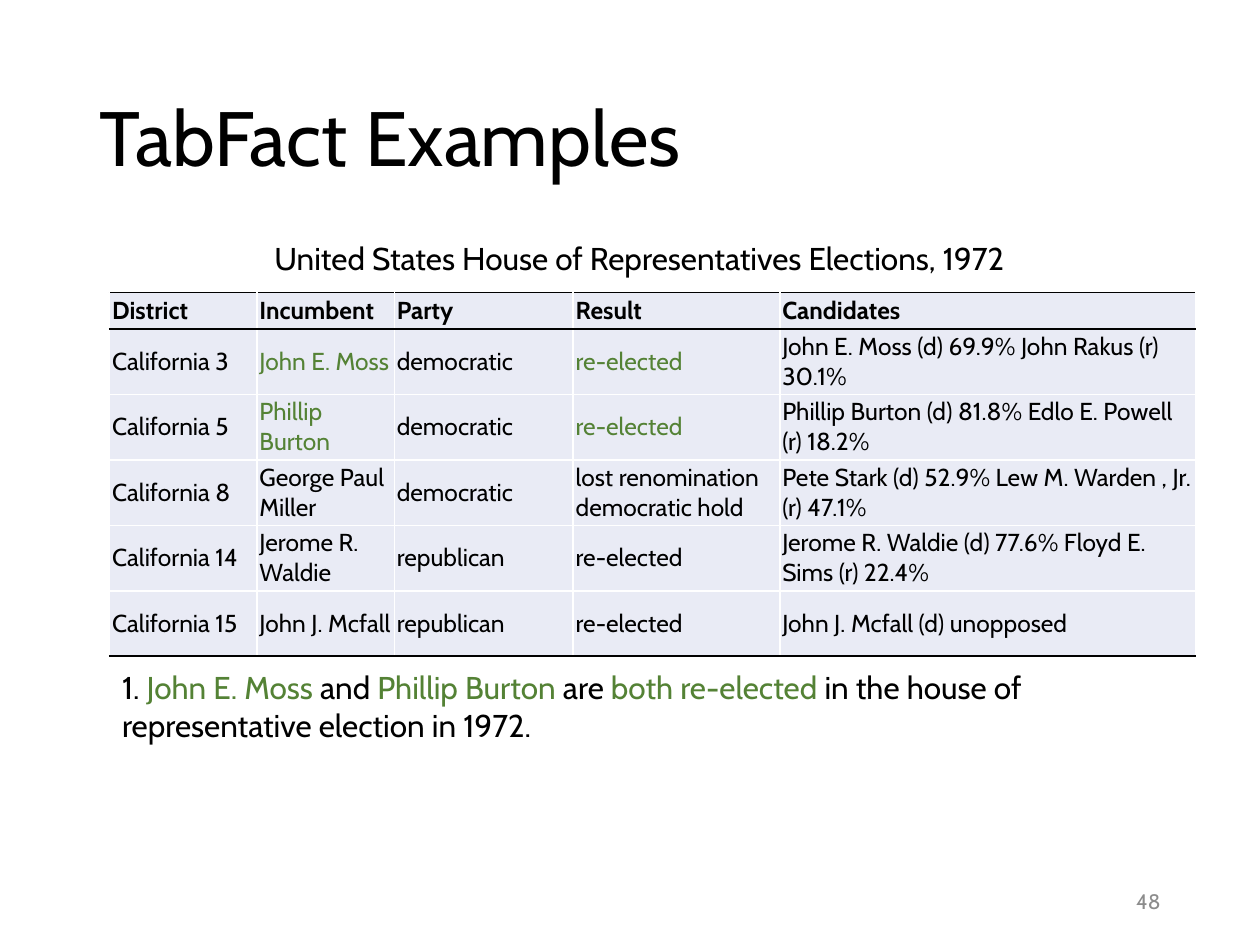
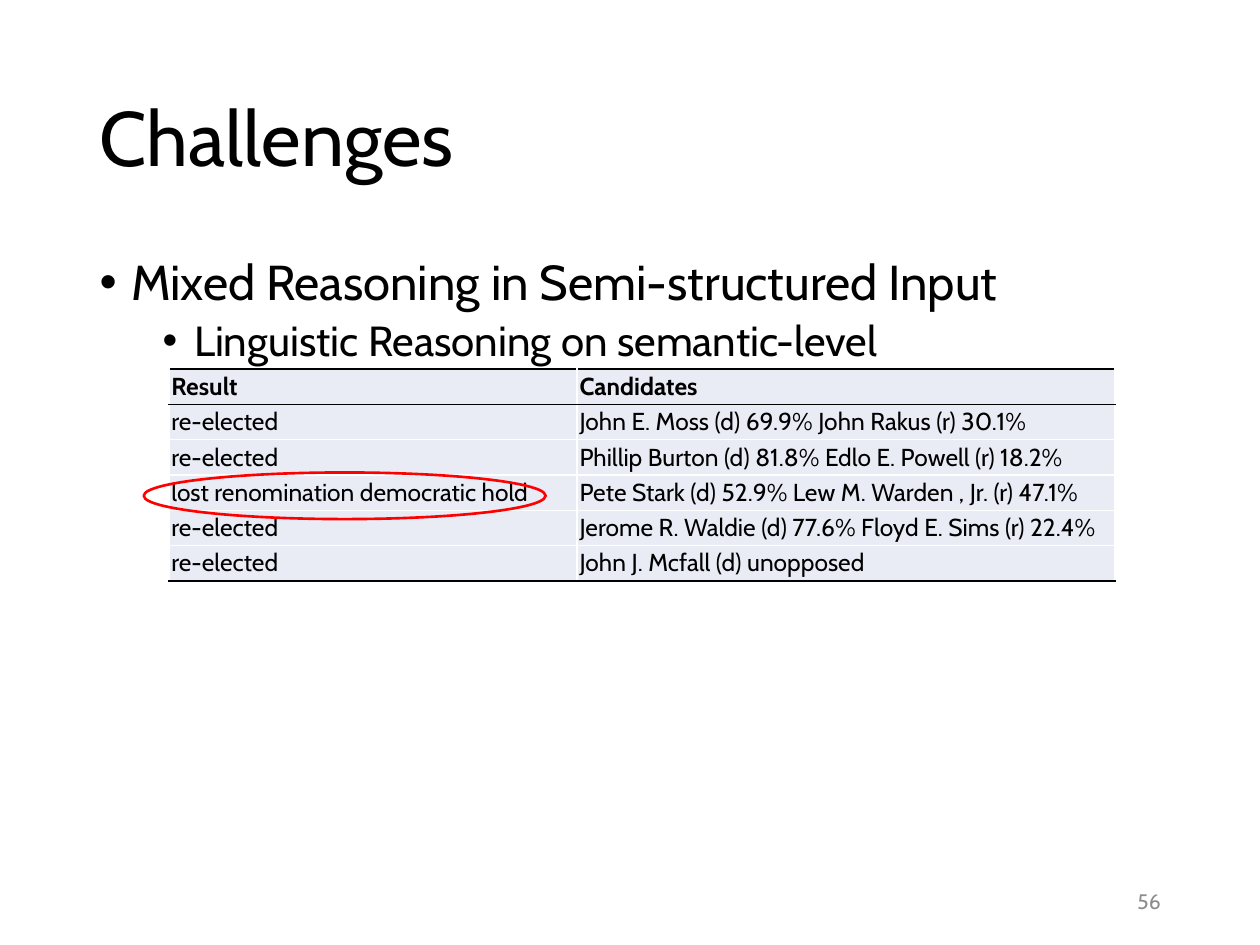
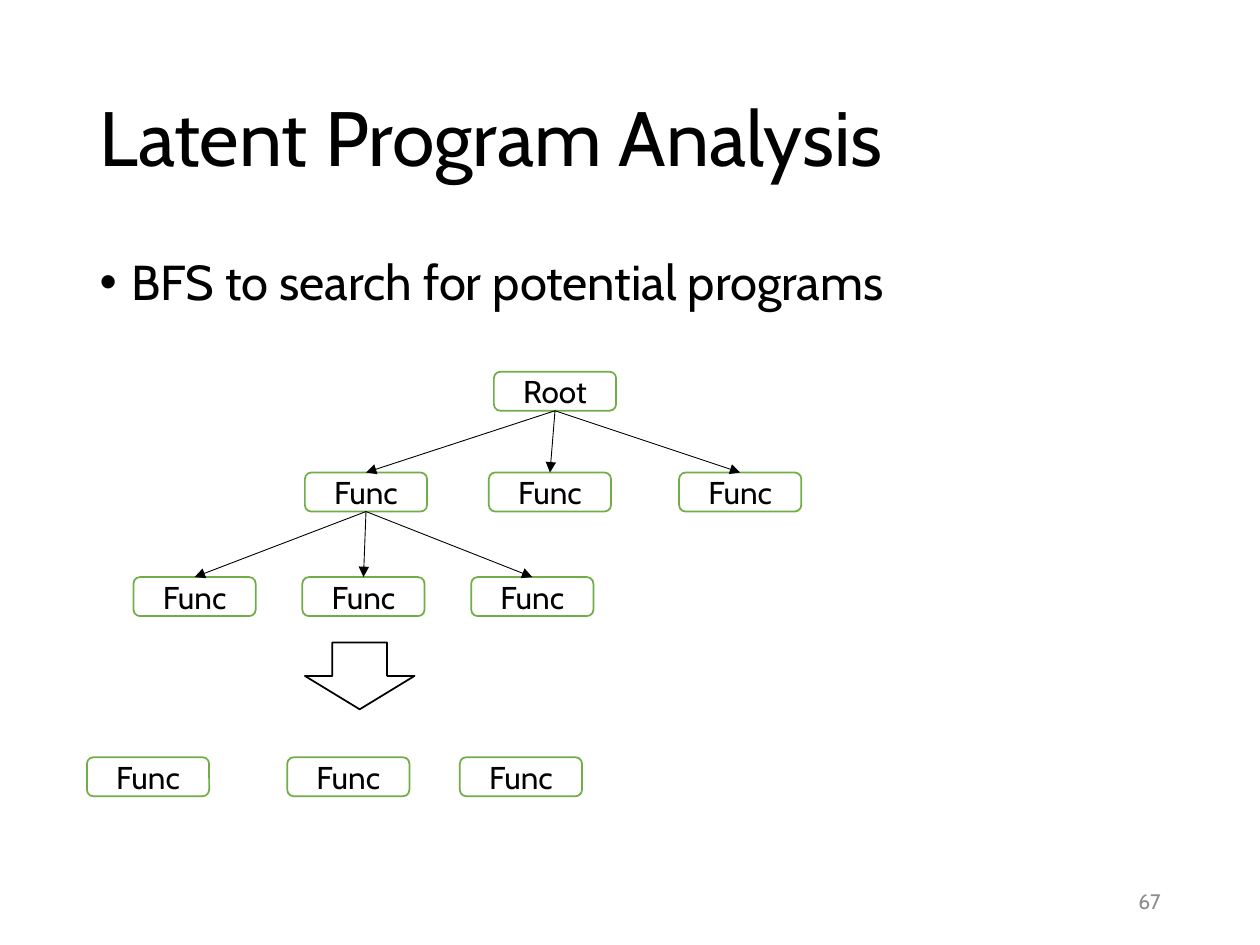
"""Build three slides on table fact checking and program search."""
from lxml import etree
from pptx import Presentation
from pptx.dml.color import RGBColor
from pptx.enum.shapes import MSO_CONNECTOR, MSO_SHAPE
from pptx.enum.text import MSO_ANCHOR, MSO_AUTO_SIZE, PP_ALIGN
from pptx.oxml.ns import qn
from pptx.util import Inches, Pt

FONT = "Cabin"
BLACK = RGBColor(0x00, 0x00, 0x00)
WHITE = RGBColor(0xFF, 0xFF, 0xFF)
GREY = RGBColor(0x8C, 0x8C, 0x8C)
GREEN = RGBColor(0x54, 0x82, 0x35)
LIME = RGBColor(0x70, 0xAD, 0x47)
RED = RGBColor(0xFF, 0x00, 0x00)
PALE = RGBColor(0xE9, 0xEB, 0xF5)
LEFT, CENTER, RIGHT = PP_ALIGN.LEFT, PP_ALIGN.CENTER, PP_ALIGN.RIGHT
TOP, MIDDLE = MSO_ANCHOR.TOP, MSO_ANCHOR.MIDDLE
FIXED = MSO_AUTO_SIZE.NONE
ROUND, OVAL, ARROW = MSO_SHAPE.ROUNDED_RECTANGLE, MSO_SHAPE.OVAL, MSO_SHAPE.DOWN_ARROW
STRAIGHT = MSO_CONNECTOR.STRAIGHT

TITLE_BOX = (0.69, 0.4, 8.62, 1.45)
BODY_BOX = (0.69, 2, 8.62, 4.76)
PAGE_BOX = (7.06, 6.95, 2.25, 0.4)

RACES = [
    ("District", "Incumbent", "Party", "Result", "Candidates"),
    ("California 3", "John E. Moss", "democratic", "re-elected",
     "John E. Moss (d) 69.9% John Rakus (r) 30.1%"),
    ("California 5", "Phillip Burton", "democratic", "re-elected",
     "Phillip Burton (d) 81.8% Edlo E. Powell (r) 18.2%"),
    ("California 8", "George Paul Miller", "democratic", "lost renomination democratic hold",
     "Pete Stark (d) 52.9% Lew M. Warden , Jr. (r) 47.1%"),
    ("California 14", "Jerome R. Waldie", "republican", "re-elected",
     "Jerome R. Waldie (d) 77.6% Floyd E. Sims (r) 22.4%"),
    ("California 15", "John J. Mcfall", "republican", "re-elected",
     "John J. Mcfall (d) unopposed"),
]
PROOF = {(1, 1), (1, 3), (2, 1), (2, 3)}
CAPTION = "United States House of Representatives Elections, 1972"
CLAIM = [
    ("1. ", BLACK), ("John E. Moss ", GREEN), ("and ", BLACK), ("Phillip Burton ", GREEN),
    ("are ", BLACK), ("both re-elected ", GREEN),
    ("in the house of representative election in 1972.", BLACK),
]

LEVELS = [
    ("Root", 2.95, [3.92]),
    ("Func", 3.75, [2.42, 3.88, 5.39]),
    ("Func", 4.58, [1.06, 2.4, 3.74]),
    ("Func", 6.01, [0.69, 2.28, 3.65]),
]
NODE = (0.97, 0.31)
BULLETS = [(28, 0.25, 0), (24, 0.75, 5)]


def inch(box):
    return [Inches(side) for side in box]


def write(para, runs, size, bold=False, align=LEFT):
    para.alignment = align
    for text, color in runs:
        run = para.add_run()
        run.text = text
        run.font.name, run.font.size, run.font.bold = FONT, Pt(size), bold
        run.font.color.rgb = color


def add_text(slide, box, runs, size, align=LEFT, anchor=TOP):
    frame = slide.shapes.add_textbox(*inch(box)).text_frame
    frame.word_wrap = True
    frame.vertical_anchor = anchor
    write(frame.paragraphs[0], runs, size, align=align)


def place(shape, box, anchor):
    shape.left, shape.top, shape.width, shape.height = inch(box)
    frame = shape.text_frame
    frame.auto_size = FIXED
    frame.vertical_anchor = anchor
    return frame


def add_slide(deck, title, page, points=()):
    slide = deck.slides.add_slide(deck.slide_layouts[1 if points else 5])
    para = place(slide.shapes.title, TITLE_BOX, MIDDLE).paragraphs[0]
    para.line_spacing = 0.9
    write(para, [(title, BLACK)], 44)
    if points:
        frame = place(slide.placeholders[1], BODY_BOX, TOP)
        for level, text in enumerate(points):
            size, indent, gap = BULLETS[level]
            para = frame.add_paragraph() if level else frame.paragraphs[0]
            para.level = level
            para.line_spacing, para.space_before = 0.9, Pt(gap)
            props = para._p.get_or_add_pPr()
            props.set("marL", str(Inches(indent)))
            props.set("indent", str(Inches(-0.25)))
            etree.SubElement(props, qn("a:buFont")).set("typeface", "Arial")
            etree.SubElement(props, qn("a:buChar")).set("char", "•")
            write(para, [(text, BLACK)], size)
    add_text(slide, PAGE_BOX, [(str(page), GREY)], 12, RIGHT, MIDDLE)
    return slide


def edge(cell, side, color):
    line = etree.SubElement(cell._tc.get_or_add_tcPr(), qn("a:ln" + side), w=str(Pt(1)))
    fill = etree.SubElement(line, qn("a:solidFill"))
    etree.SubElement(fill, qn("a:srgbClr")).set("val", str(color))


def add_grid(slide, spot, widths, heights, rows, marks=()):
    box = (*spot, sum(widths), sum(heights))
    table = slide.shapes.add_table(len(rows), len(widths), *inch(box)).table
    table.first_row = table.horz_banding = False
    for col, width in zip(table.columns, widths):
        col.width = Inches(width)
    for row, height in zip(table.rows, heights):
        row.height = Inches(height)
    last = len(rows) - 1
    for r, row in enumerate(rows):
        for c, text in enumerate(row):
            cell = table.cell(r, c)
            cell.margin_left = cell.margin_right = Inches(0.02)
            cell.margin_top = cell.margin_bottom = Inches(0.02)
            cell.vertical_anchor = MIDDLE
            edge(cell, "L", WHITE)
            edge(cell, "R", WHITE)
            edge(cell, "T", BLACK if r < 2 else WHITE)
            edge(cell, "B", BLACK if r in (0, last) else WHITE)
            cell.fill.solid()
            cell.fill.fore_color.rgb = PALE
            color = GREEN if (r, c) in marks else BLACK
            write(cell.text_frame.paragraphs[0], [(text, color)], 14, bold=r == 0)


def add_form(slide, kind, box, color, weight=1, fill=WHITE):
    shape = slide.shapes.add_shape(kind, *inch(box))
    shape.shadow.inherit = False
    if fill is None:
        shape.fill.background()
    else:
        shape.fill.solid()
        shape.fill.fore_color.rgb = fill
    shape.line.color.rgb, shape.line.width = color, Pt(weight)
    return shape


def add_node(slide, text, left, top):
    shape = add_form(slide, ROUND, (left, top, *NODE), LIME)
    shape.text_frame.vertical_anchor = MIDDLE
    write(shape.text_frame.paragraphs[0], [(text, BLACK)], 18, align=CENTER)
    return shape


def link(slide, parent, child):
    line = slide.shapes.add_connector(STRAIGHT, 0, 0, 0, 0)
    line.begin_connect(parent, 2)
    line.end_connect(child, 0)
    line.line.color.rgb, line.line.width = BLACK, Pt(0.5)
    etree.SubElement(line.line._get_or_add_ln(), qn("a:tailEnd")).set("type", "triangle")
    etree.SubElement(line._element.spPr, qn("a:effectLst"))


def main():
    deck = Presentation()
    deck.slide_width, deck.slide_height = Inches(10), Inches(7.5)

    slide = add_slide(deck, "TabFact Examples", 48)
    add_grid(slide, (0.87, 2.32), (1.17, 1.09, 1.42, 1.64, 3.3), [0.29] + [0.52] * 5,
             RACES, PROOF)
    add_text(slide, (2.08, 1.85, 6.57, 0.4), [(CAPTION, BLACK)], 18)
    add_text(slide, (0.87, 5.25, 8.62, 0.71), CLAIM, 18)

    slide = add_slide(deck, "Challenges", 56, [
        "Mixed Reasoning in Semi-structured Input", "Linguistic Reasoning on semantic-level"])
    add_grid(slide, (1.34, 2.93), (3.24, 4.27), [0.28] * 6, [row[3:] for row in RACES])
    add_form(slide, OVAL, (1.14, 3.75, 3.19, 0.37), RED, 1.5, None)

    slide = add_slide(deck, "Latent Program Analysis", 67,
                      ["BFS to search for potential programs"])
    tree = [[add_node(slide, text, left, top) for left in lefts]
            for text, top, lefts in LEVELS]
    for upper, lower in zip(tree[:2], tree[1:3]):
        for child in lower:
            link(slide, upper[0], child)
    add_form(slide, ARROW, (2.42, 5.1, 0.87, 0.53), BLACK)

    deck.save("out.pptx")


if __name__ == "__main__":
    main()
